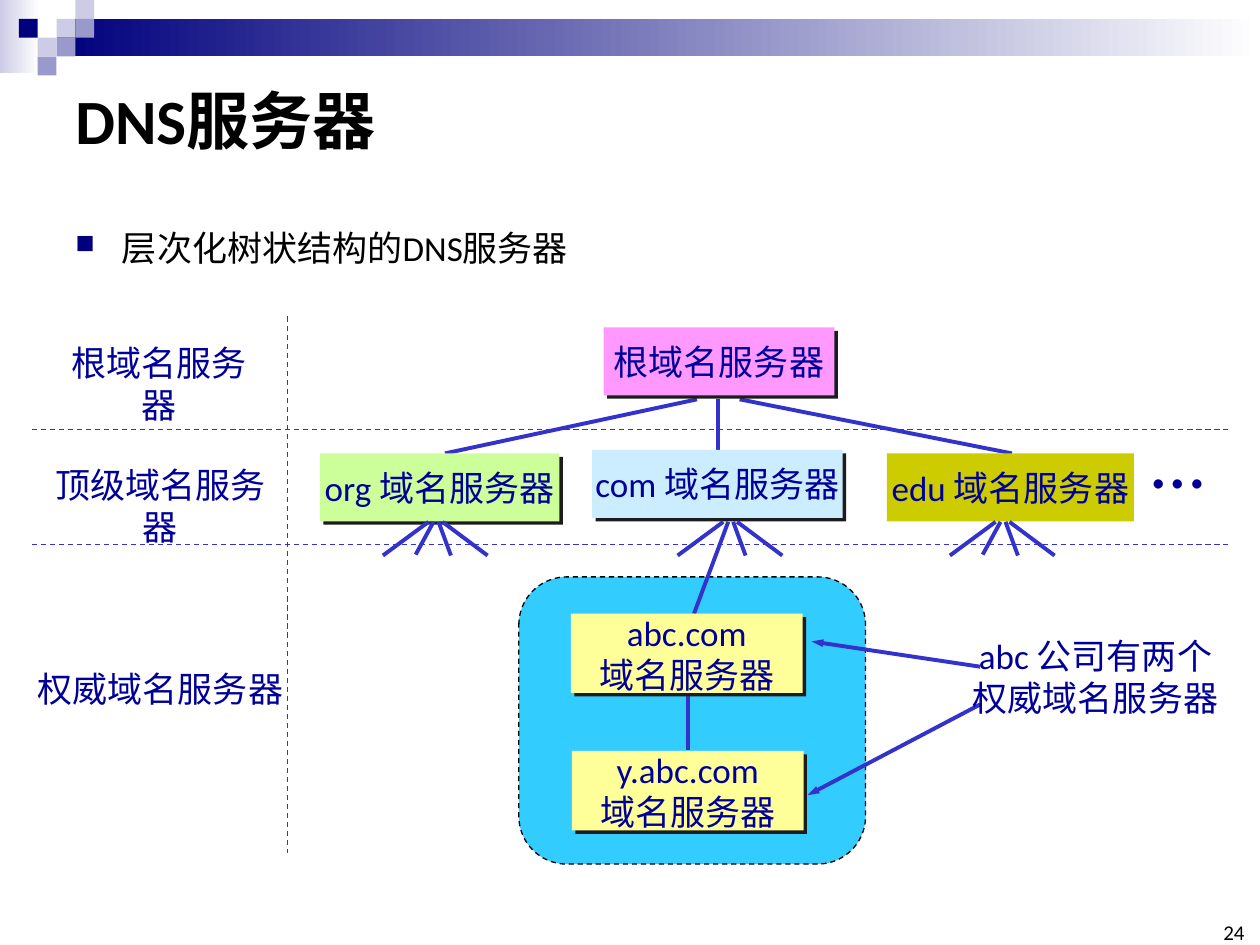
from lxml.etree import SubElement
from pptx import Presentation
from pptx.dml.color import RGBColor
from pptx.enum.dml import MSO_LINE as Dash
from pptx.enum.shapes import MSO_CONNECTOR as Link, MSO_SHAPE as Shape
from pptx.enum.text import MSO_ANCHOR as Anchor, PP_ALIGN as Align
from pptx.oxml.ns import qn
from pptx.util import Cm, Pt

FONT = "Calibri"
BLACK = RGBColor(0x00, 0x00, 0x00)
WHITE = RGBColor(0xFF, 0xFF, 0xFF)
NAVY = RGBColor(0x00, 0x00, 0x7D)
INK = RGBColor(0x00, 0x00, 0x99)
BLUE = RGBColor(0x33, 0x33, 0xCC)
MIST = RGBColor(0xCC, 0xCC, 0xE6)
LILAC = RGBColor(0x99, 0x99, 0xCC)
SKY = RGBColor(0x33, 0xCC, 0xFF)
PINK = RGBColor(0xFF, 0x99, 0xFF)
GREEN = RGBColor(0xCC, 0xFF, 0x99)
PALE = RGBColor(0xCC, 0xEC, 0xFF)
OLIVE = RGBColor(0xCC, 0xCC, 0x00)
CREAM = RGBColor(0xFF, 0xFF, 0x99)

CELL = 0.38
TILES = [(3, 1, MIST), (4, 0, MIST), (4, 1, LILAC), (2, 2, MIST),
         (1, 1, NAVY), (3, 2, LILAC), (2, 3, LILAC)]

# Start offset, end offset and drop of each branch below a server
FAN = [(0.13, 1.04, 0.68), (0.05, 0.3, 0.68), (-0.15, -1.07, 0.68)]
STUB = (-0.05, -0.41, 0.66)
TO_ABC = (-0.05, -0.74, 1.85)


def write(frame, rows, size=20, color=INK, align=Align.CENTER, bold=False):
    for n, row in enumerate(rows):
        para = frame.paragraphs[0] if n == 0 else frame.add_paragraph()
        para.alignment = align
        run = para.add_run()
        run.text = row
        font = run.font
        font.name, font.size, font.bold = FONT, Pt(size), bold
        font.color.rgb = color


def label(slide, spot, *rows, wrap=True, anchor=Anchor.TOP, **style):
    box = slide.shapes.add_textbox(*map(Cm, spot))
    frame = box.text_frame
    frame.word_wrap = wrap
    frame.vertical_anchor = anchor
    write(frame, rows, **style)
    return frame


def block(slide, spot, color, kind=Shape.RECTANGLE):
    shape = slide.shapes.add_shape(kind, *map(Cm, spot))
    shape.shadow.inherit = False
    shape.fill.solid()
    shape.fill.fore_color.rgb = color
    shape.line.fill.background()
    return shape


def fade(slide, spot, color):
    """Block that fades from the colour to white, left to right."""
    fill = block(slide, spot, color).fill
    fill.gradient()
    fill.gradient_angle = 0
    for stop, tone in zip(fill.gradient_stops, (color, WHITE)):
        stop.color.rgb = tone


def server(slide, spot, color, *rows, shade=True):
    shape = block(slide, spot, color)
    if shade:
        glow = shape._element.spPr.find(qn("a:effectLst"))
        drop = SubElement(glow, qn("a:outerShdw"), dist="35921",
                          dir="2700000", algn="ctr", rotWithShape="0")
        SubElement(drop, qn("a:srgbClr"), val="1C1C1C")
    frame = shape.text_frame
    frame.word_wrap = False
    frame.vertical_anchor = Anchor.MIDDLE
    write(frame, rows)


def line(slide, start, end, width=2.25, dash=False, arrow=False):
    link = slide.shapes.add_connector(
        Link.STRAIGHT, *map(Cm, (*start, *end)))
    link.line.color.rgb = BLUE
    link.line.width = Pt(width)
    if dash:
        link.line.dash_style = Dash.DASH
    props = link._element.spPr
    if arrow:
        SubElement(props.find(qn("a:ln")), qn("a:tailEnd"),
                   type="triangle", w="sm", len="med")
    SubElement(props, qn("a:effectLst"))


def fan(slide, mid, last=STUB):
    top = 10.52
    for near, far, drop in [*FAN, last]:
        line(slide, (mid + near, top), (mid + far, top + drop))


def bullet(para):
    props = para._p.get_or_add_pPr()
    props.set("marL", str(Cm(0.94)))
    props.set("indent", str(Cm(-0.94)))
    tint = SubElement(props, qn("a:buClr"))
    SubElement(tint, qn("a:srgbClr"), val=str(NAVY))
    SubElement(props, qn("a:buSzPct"), val="75000")
    SubElement(props, qn("a:buChar"), char="■")
    para.line_spacing = 1.5


def banner(slide):
    fade(slide, (0, 0, 0.79, 1.47), MIST)
    fade(slide, (1.14, CELL, 24.26, 0.76), NAVY)
    for col, row, color in TILES:
        block(slide, (col * CELL, row * CELL, CELL, CELL), color)


def heading(slide):
    label(slide, (1.27, 1.27, 22.86, 2.26), "DNS服务器", size=36,
          color=BLACK, align=Align.LEFT, bold=True, anchor=Anchor.MIDDLE)
    body = label(slide, (1.27, 4.01, 22.86, 1.85),
                 "层次化树状结构的DNS服务器", color=BLACK, align=Align.LEFT)
    bullet(body.paragraphs[0])
    page = label(slide, (24.51, 18.62, 0.58, 0.43), "24", size=12,
                 color=BLACK, align=Align.RIGHT, anchor=Anchor.BOTTOM)
    page.margin_left = page.margin_right = 0
    page.margin_top = page.margin_bottom = 0


def levels(slide):
    for y in (8.66, 10.97):
        line(slide, (0.64, y), (24.76, y), 0.75, dash=True)
    line(slide, (5.79, 6.38), (5.79, 17.2), 0.75, dash=True)
    label(slide, (1.09, 6.76, 4.22, 1.12), "根域名服务器")
    label(slide, (0.81, 9.22, 4.85, 1.12), "顶级域名服务器")
    label(slide, (0.48, 13.34, 5.51, 1.12), "权威域名服务器")


def tree(slide):
    zone = block(slide, (10.46, 11.63, 6.99, 5.79), SKY,
                 Shape.ROUNDED_RECTANGLE)
    zone.line.color.rgb = BLACK
    zone.line.width = Pt(0.75)
    zone.line.dash_style = Dash.DASH

    for top, low in ((14.05, 8.97), (14.48, 14.48), (14.91, 20.4)):
        line(slide, (top, 8.05), (low, 9.14))
    server(slide, (12.17, 6.6, 4.65, 1.37), PINK, "根域名服务器")
    server(slide, (6.45, 9.14, 4.83, 1.37), GREEN, "org 域名服务器")
    server(slide, (11.94, 9.07, 5.05, 1.37), PALE, "com 域名服务器")
    server(slide, (17.88, 9.14, 4.98, 1.37), OLIVE, "edu 域名服务器",
           shade=False)
    label(slide, (22.96, 8.18, 1.42, 2.13), "…", size=44,
          align=Align.LEFT, wrap=False)

    fan(slide, 8.79)
    fan(slide, 14.73, TO_ABC)
    fan(slide, 20.22)

    line(slide, (13.87, 13.74), (13.87, 15.11))
    server(slide, (11.51, 12.37, 4.67, 1.6), CREAM, "abc.com", "域名服务器")
    server(slide, (11.53, 15.14, 4.67, 1.6), CREAM, "y.abc.com", "域名服务器")
    line(slide, (19.76, 13.44), (16.36, 12.93), arrow=True)
    line(slide, (19.76, 14.2), (16.28, 16.03), arrow=True)
    label(slide, (19.33, 12.67, 5.51, 1.96),
          "abc 公司有两个", "权威域名服务器")


def main():
    deck = Presentation()
    deck.slide_width, deck.slide_height = Cm(25.4), Cm(19.05)
    slide = deck.slides.add_slide(deck.slide_layouts[6])
    banner(slide)
    heading(slide)
    tree(slide)
    levels(slide)
    deck.save("out.pptx")


if __name__ == "__main__":
    main()
